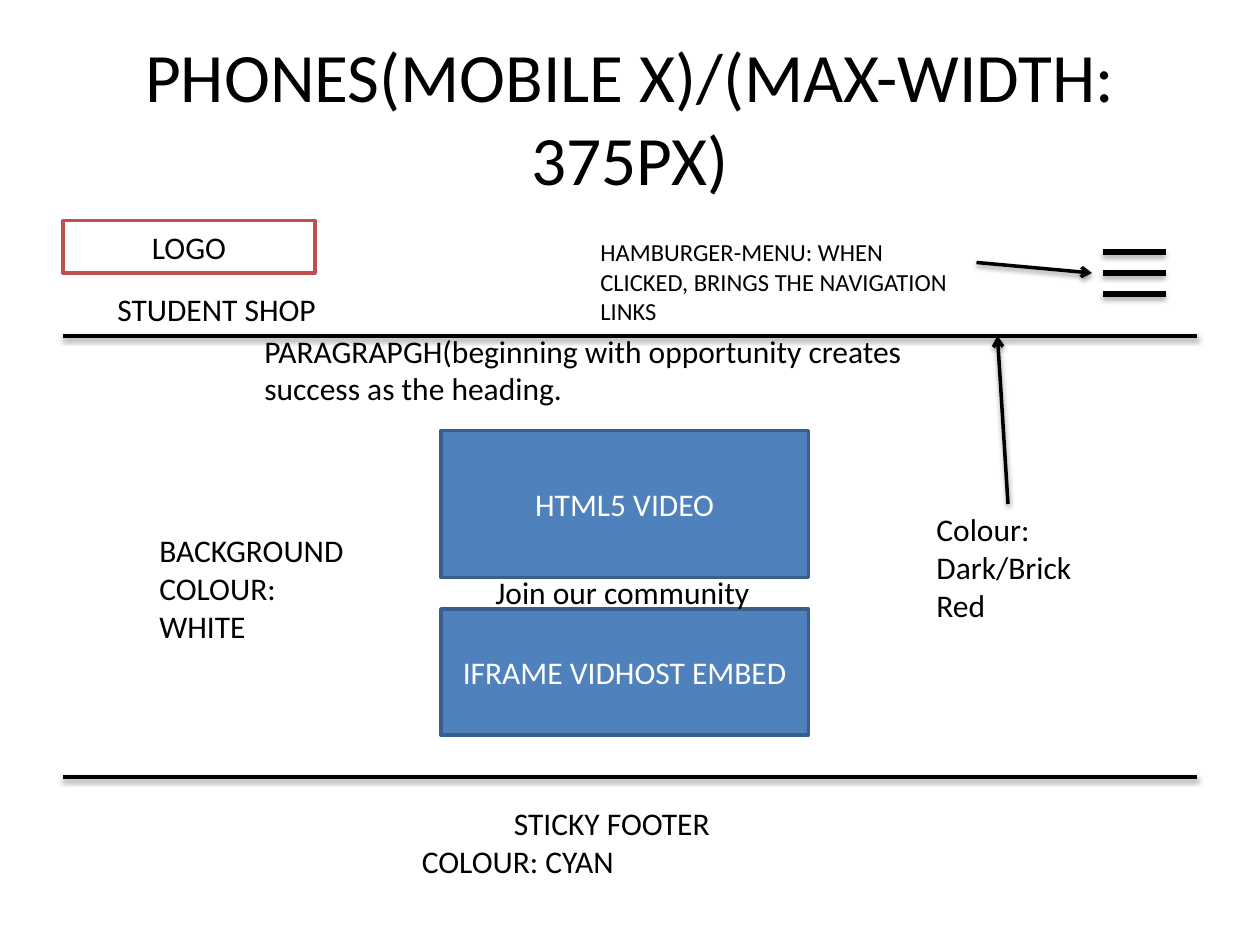
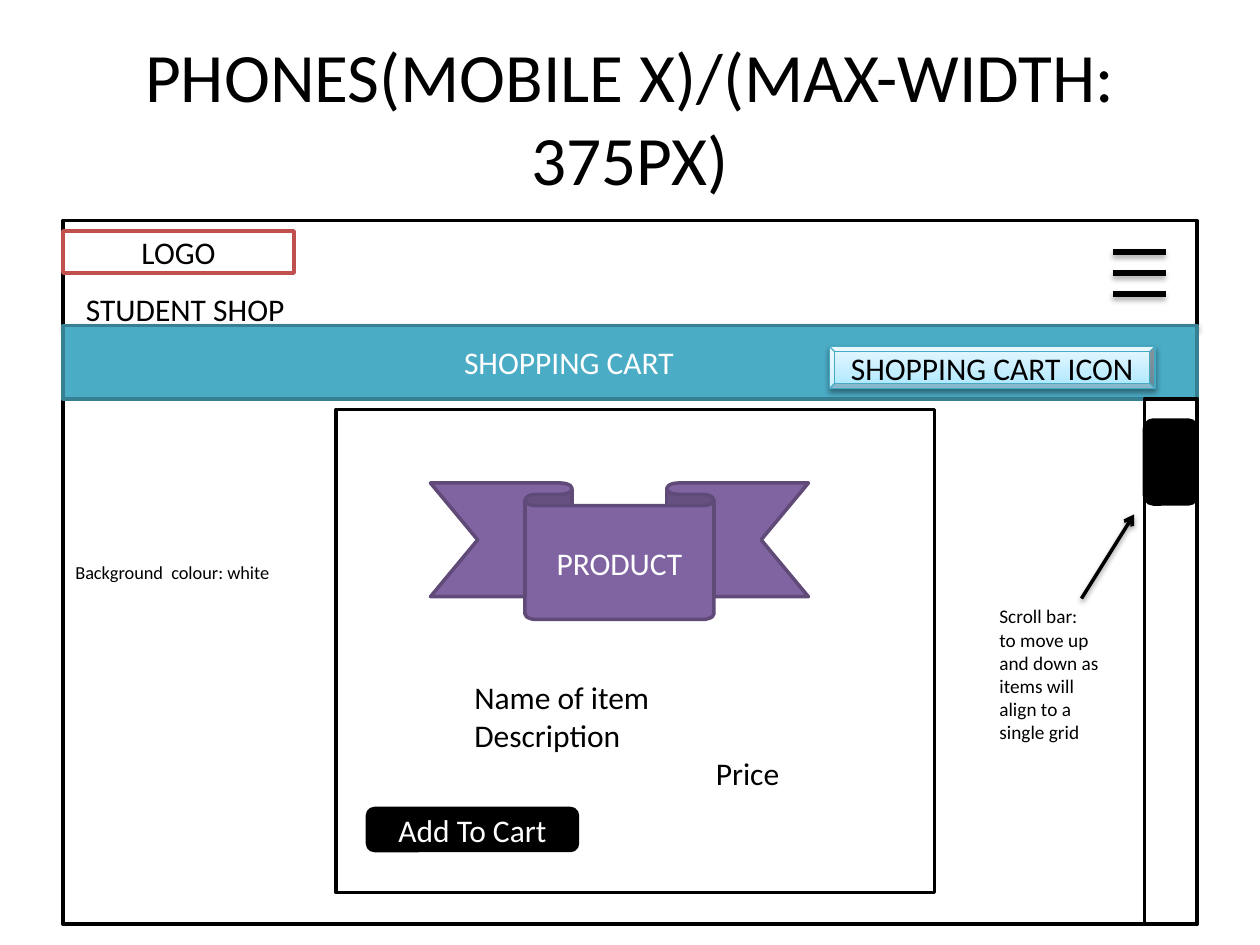
from copy import deepcopy
from dataclasses import dataclass
from lxml.etree import SubElement
from pptx import Presentation
from pptx.dml.color import RGBColor
from pptx.enum.shapes import MSO_CONNECTOR, MSO_SHAPE
from pptx.enum.text import MSO_ANCHOR, MSO_AUTO_SIZE, PP_ALIGN
from pptx.oxml.ns import qn
from pptx.util import Inches, Pt


@dataclass(frozen=True)
class Theme:
    """Colours, type sizes and line widths of the deck."""
    font: str = "Calibri"
    ink: str = "000000"
    paper: str = "FFFFFF"
    red: str = "C0504D"
    blue: str = "4F81BD"
    navy: str = "3A5F8C"
    teal: str = "4BACC6"
    sea: str = "377F92"
    plum: str = "8064A2"
    grape: str = "5F4A78"
    rim: str = "46AAC5"
    glow: tuple = ((0, "A7E6FF"), (0.35, "C1EDFF"), (1, "E7F8FF"))
    head: float = 39.6
    body: float = 18
    note: float = 14
    small: float = 11
    tiny: float = 10.5
    thick: float = 3
    line: float = 2
    thin: float = 0.75


THEME = Theme()
COLS, ROWS = 120, 90
WIDE, HIGH = Inches(10), Inches(7.5)
LEFT, RIGHT = 6, 114
TITLE = "PHONES(MOBILE X)/(MAX-WIDTH: 375PX)"


def across(cols):
    """Turn grid columns into a length."""
    return round(WIDE * cols / COLS)


def down(rows):
    """Turn grid rows into a length."""
    return round(HIGH * rows / ROWS)


def place(box):
    """Turn a grid box into left, top, width and height."""
    left, top, width, height = box
    return across(left), down(top), across(width), down(height)


def paint(fill, tint):
    """Fill with one plain colour."""
    fill.solid()
    fill.fore_color.rgb = RGBColor.from_string(tint)


def write(frame, text, size=THEME.body, tint=THEME.ink, align=PP_ALIGN.LEFT, dents=()):
    """Write one paragraph per line, each with its indent in columns."""
    frame.word_wrap = True
    for row, part in enumerate(text.split("\n")):
        para = frame.add_paragraph() if row else frame.paragraphs[0]
        para.alignment = align
        if row < len(dents):
            para._p.get_or_add_pPr().set("marL", str(across(dents[row])))
        for turn, words in enumerate(part.split("\v")):
            if turn:
                para.add_line_break()
            run = para.add_run()
            run.text = words
            run.font.name = THEME.font
            run.font.size = Pt(size)
            run.font.color.rgb = RGBColor.from_string(tint)


def shade(props, drop=1.6, alpha=38):
    """Give a shape a soft shadow straight below it."""
    list_ = props.find(qn("a:effectLst"))
    if list_ is None:
        list_ = SubElement(props, qn("a:effectLst"))
    cast = SubElement(list_, qn("a:outerShdw"), blurRad=str(Pt(3.1)),
                      dist=str(Pt(drop)), dir="5400000", rotWithShape="0")
    tint = SubElement(cast, qn("a:srgbClr"), val=THEME.ink)
    SubElement(tint, qn("a:alpha"), val=str(alpha * 1000))


def label(slide, box, text, **style):
    """Add a plain text box."""
    write(slide.shapes.add_textbox(*place(box)).text_frame, text, **style)


def block(slide, box, fill, edge, text="", kind=MSO_SHAPE.RECTANGLE, width=THEME.line,
          align=PP_ALIGN.CENTER, **style):
    """Add a filled and outlined shape, with text if there is any."""
    shape = slide.shapes.add_shape(kind, *place(box))
    paint(shape.fill, fill)
    paint(shape.line.fill, edge)
    shape.line.width = Pt(width)
    shape.shadow.inherit = False
    shape.text_frame.vertical_anchor = MSO_ANCHOR.MIDDLE
    if text:
        write(shape.text_frame, text, align=align, **style)
    return shape


def stroke(slide, start, end, width=THEME.line, arrow=False, **cast):
    """Add a shadowed line, with an arrowhead if asked."""
    line = slide.shapes.add_connector(
        MSO_CONNECTOR.STRAIGHT, across(start[0]), down(start[1]), across(end[0]), down(end[1]))
    paint(line.line.fill, THEME.ink)
    line.line.width = Pt(width)
    if arrow:
        SubElement(line.line._get_or_add_ln(), qn("a:tailEnd"), type="arrow")
    shade(line._element.spPr, **cast)


def rule(slide, row):
    """Draw a rule over the full page width."""
    stroke(slide, (LEFT, row), (RIGHT, row))


def burger(slide, left):
    """Draw the three bars of the menu icon."""
    for row in range(24, 29, 2):
        stroke(slide, (left, row), (111, row), THEME.thick, drop=1.8, alpha=35)


def glaze(shape):
    """Give a shape the pale upward blend and a shadow."""
    shape.fill.gradient()
    shape.fill.gradient_angle = 90
    stops = shape._element.spPr.find(qn("a:gradFill")).find(qn("a:gsLst"))
    stops.insert(1, deepcopy(stops[0]))
    for stop, (spot, tint) in zip(shape.fill.gradient_stops, THEME.glow):
        stop.position = spot
        stop.color.rgb = RGBColor.from_string(tint)
    shade(shape._element.spPr)


def start(deck):
    """Add a slide with the shared title."""
    slide = deck.slides.add_slide(deck.slide_layouts[5])
    title = slide.shapes.title
    title.left, title.top, title.width, title.height = place((LEFT, 3.6, 108, 15))
    frame = title.text_frame
    frame.auto_size = MSO_AUTO_SIZE.NONE
    frame.vertical_anchor = MSO_ANCHOR.MIDDLE
    write(frame, TITLE, THEME.head, align=PP_ALIGN.CENTER)
    return slide


def home(deck):
    """Build the home page wireframe."""
    slide = start(deck)
    rule(slide, 32)
    block(slide, (LEFT, 21, 24, 5), THEME.paper, THEME.red, "LOGO")
    label(slide, (8, 27, 43, 4.8), "STUDENT SHOP", dents=(2,))
    burger(slide, 105)
    for top, height, text in ((41, 14, "HTML5 VIDEO"), (58, 12, "IFRAME VIDHOST EMBED")):
        block(slide, (42, top, 35, height), THEME.blue, THEME.navy, text, tint=THEME.paper)
    rule(slide, 74)
    label(slide, (24, 31, 67, 12),
          "PARAGRAPGH(beginning with opportunity creates success as the heading.")
    label(slide, (46, 54, 38, 4.8), "Join our community")
    label(slide, (39, 76, 39, 8.5), "STICKY FOOTER\nCOLOUR: CYAN", dents=(8.75,))
    label(slide, (14, 50, 22, 12), "BACKGROUND COLOUR: WHITE")
    label(slide, (88, 48, 20, 15.7), "Colour: Dark/Brick Red")
    stroke(slide, (96, 48), (95, 32), arrow=True)
    label(slide, (56, 22, 37, 9.7),
          "HAMBURGER-MENU: WHEN CLICKED, BRINGS THE NAVIGATION LINKS", size=THEME.note)
    stroke(slide, (93, 25), (104, 26), arrow=True)


def shop(deck):
    """Build the shopping page wireframe."""
    slide = start(deck)
    block(slide, (LEFT, 21, 108, 67), THEME.paper, THEME.ink, "Background  colour: white",
          size=THEME.tiny, align=PP_ALIGN.LEFT)
    rule(slide, 31)
    burger(slide, 106)
    block(slide, (LEFT, 22, 22, 4), THEME.paper, THEME.red, "LOGO")
    label(slide, (7, 27, 40, 4.8), "STUDENT SHOP")
    band = block(slide, (LEFT, 31, 108, 7), THEME.teal, THEME.sea, "SHOPPING CART",
                 tint=THEME.paper)
    band.text_frame.margin_right = across(12.8)
    glaze(block(slide, (79, 33, 31, 4), THEME.paper, THEME.rim, "SHOPPING CART ICON",
                MSO_SHAPE.BEVEL, THEME.thin))
    block(slide, (32, 39, 57, 46), THEME.paper, THEME.ink)
    block(slide, (41, 46, 36, 13), THEME.plum, THEME.grape, "PRODUCT",
          MSO_SHAPE.DOWN_RIBBON, tint=THEME.paper)
    label(slide, (44, 64, 49, 19.4), "Name of item\nDescription\nPrice", dents=(0, 0, 23))
    block(slide, (35, 77, 20, 4), THEME.ink, THEME.ink, "Add To Cart",
          MSO_SHAPE.ROUNDED_RECTANGLE, tint=THEME.paper)
    block(slide, (109, 38, 5, 50), THEME.paper, THEME.ink)
    block(slide, (109, 40, 5, 8), THEME.ink, THEME.ink, kind=MSO_SHAPE.ROUNDED_RECTANGLE)
    label(slide, (94, 57, 12, 14.5),
          "Scroll bar:\vto move up and down as items will align to a single grid",
          size=THEME.small)
    stroke(slide, (103, 57), (108, 49), arrow=True)


def main():
    """Build and save the deck."""
    deck = Presentation()
    deck.slide_width, deck.slide_height = WIDE, HIGH
    home(deck)
    shop(deck)
    deck.save("out.pptx")


main()
